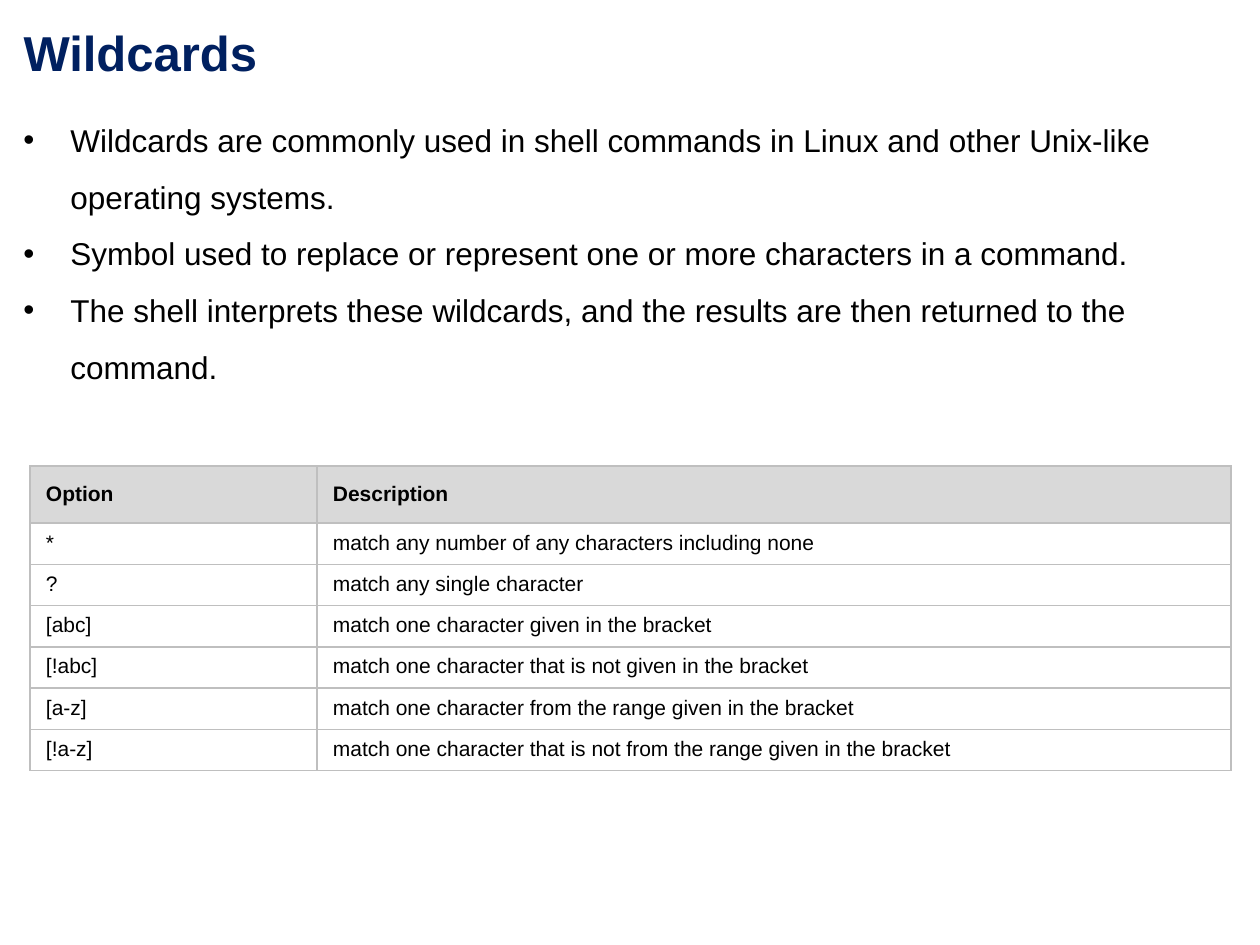
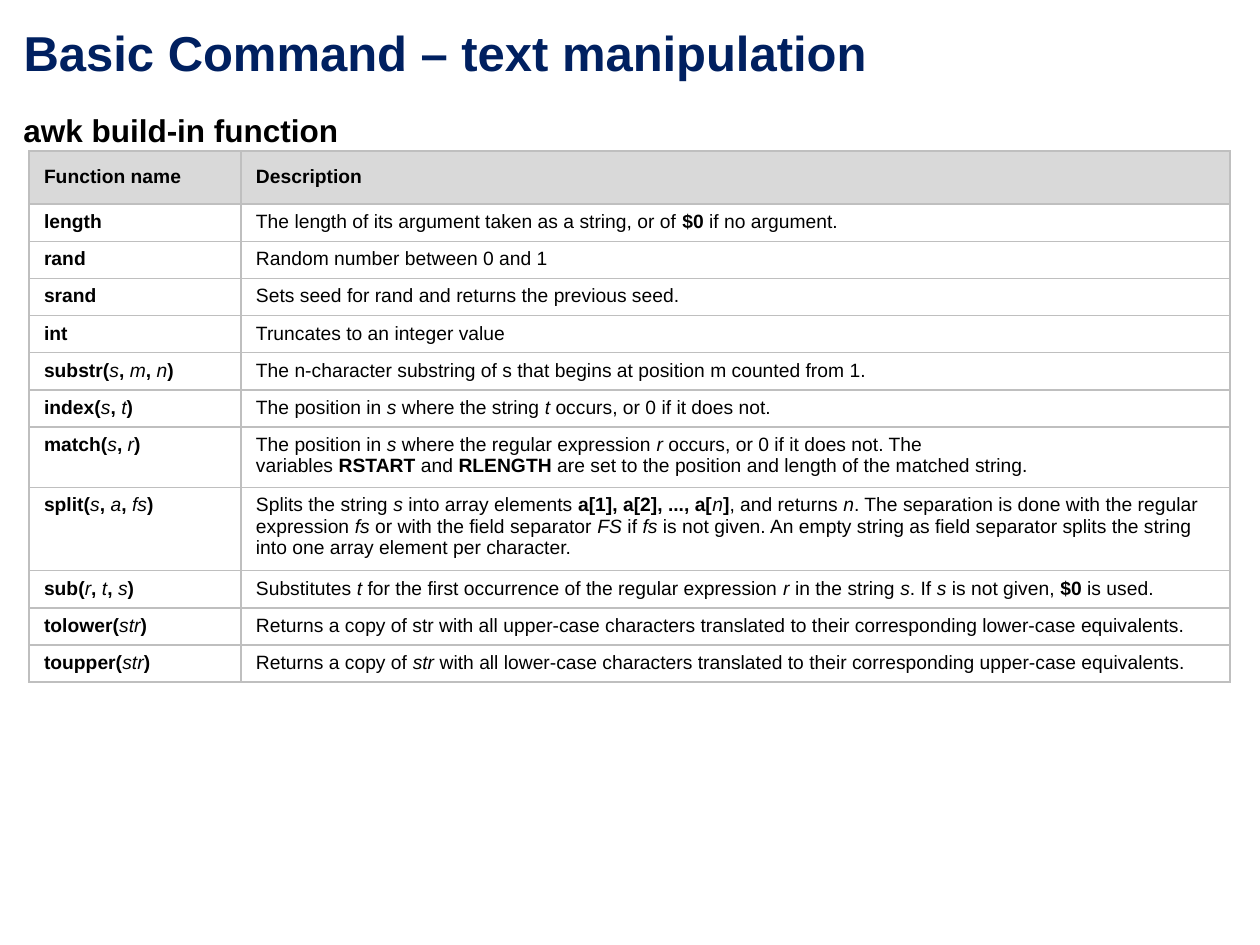
"""Build two slides about shell wildcards and awk functions."""
import lxml.etree
import pptx
import pptx.dml.color
import pptx.enum.text
import pptx.oxml.ns
import pptx.util

PX = 914400 / 126
FONT = "Arial"
NAVY = pptx.dml.color.RGBColor(0x00, 0x20, 0x60)
BLACK = pptx.dml.color.RGBColor(0x00, 0x00, 0x00)
HEADER_GREY = pptx.dml.color.RGBColor(0xD9, 0xD9, 0xD9)
BORDER_GREY = pptx.dml.color.RGBColor(0xBF, 0xBF, 0xBF)
TITLE_BOX = (11, 16, 998, 72)
NBSP = chr(160)
qn = pptx.oxml.ns.qn


def px(length):
    return pptx.util.Emu(round(length * PX))


def write(paragraph, marked, size, color=BLACK, bold=False):
    """Add runs: ^bold^, _italic_ and ~ for a no-break space."""
    for b, bold_part in enumerate(marked.replace("~", NBSP).split("^")):
        for i, words in enumerate(bold_part.split("_")):
            if words:
                run = paragraph.add_run()
                run.text = words
                run.font.name = FONT
                run.font.size = pptx.util.Pt(size)
                run.font.color.rgb = color
                run.font.bold = bold or b % 2 == 1
                run.font.italic = i % 2 == 1


wildcard_points = [
    "Wildcards are commonly used in shell commands in Linux and other Unix-like operating systems.",
    "Symbol used to replace or represent one or more characters in a command.",
    "The shell interprets these wildcards, and the results are then returned to the command.",
]
wildcard_rows = [
    ("Option", "Description"),
    ("*", "match any number of any characters including none"),
    ("?", "match any single character"),
    ("[abc]", "match one character given in the bracket"),
    ("[!abc]", "match one character that is not given in the bracket"),
    ("[a-z]", "match one character from the range given in the bracket"),
    ("[!a-z]", "match one character that is not from the range given in the bracket"),
]
awk_rows = [
    ("Function name", "Description"),
    ("^length^", "The length of its argument taken as a string, or of~^$0^~if no argument."),
    ("^rand^", "Random number between 0 and 1"),
    ("^srand^", "Sets~seed~for~rand~and returns the previous seed."),
    ("^int^", "Truncates~to an~integer~value"),
    ("^substr(^_s_^,~^_m_^,~^_n_^)^",
     "The~n-character~substring~of~s~that begins at position~m~counted from 1."),
    ("^index(^_s_^,~^_t_^)^",
     "The position in~_s_~where the string~_t_~occurs, or 0 if it does not."),
    ("^match(^_s_^,~^_r_^)^",
     "The position in~_s_~where the regular expression~_r_~occurs, or 0 if it does not. "
     "The variables~^RSTART^~and~^RLENGTH^~are set to the position and length of the "
     "matched string."),
    ("^split(^_s_^,~^_a_^,~^_fs_^)^",
     "Splits the string~_s_~into array elements~^a[1], a[2], ..., a[^_n_^]^, and returns~_n_. "
     "The separation is done with the regular expression~_fs_~or with the field "
     "separator~_FS_~if~_fs_~is not given. An empty string as field separator splits the "
     "string into one array element per character."),
    ("^sub(^_r_^,~^_t_^,~^_s_^)^",
     "Substitutes~_t_~for the first occurrence of the regular expression~_r_~in the "
     "string~_s_. If~_s_~is not given,~^$0^~is used."),
    ("^tolower(^_str_^)^",
     "Returns a copy of~str~with all~upper-case~characters translated to their "
     "corresponding~lower-case~equivalents."),
    ("^toupper(^_str_^)^",
     "Returns a copy of~_str_~with all lower-case characters translated to their "
     "corresponding upper-case equivalents."),
]

pages = [
    dict(title="Wildcards", intro=wildcard_points, intro_box=(11, 96, 1229, 292),
         bulleted=True, spacing=1.5, rows=wildcard_rows, corner=(30, 466),
         columns=(287, 914), heights=[56] + [40] * 6, size=12, inset=16, tight=8),
    dict(title="Basic Command – text manipulation", intro=["awk build-in function"],
         intro_box=(11, 97, 1229, 54), bulleted=False, spacing=1.2, rows=awk_rows,
         corner=(29, 151), columns=(212, 989),
         heights=[52] + [36] * 6 + [58, 80] + [36] * 3, size=11, inset=15, tight=7),
]

deck = pptx.Presentation()
deck.slide_width, deck.slide_height = px(1260), px(945)

for page in pages:
    slide = deck.slides.add_slide(deck.slide_layouts[5])
    title = slide.shapes.title
    title.left, title.top, title.width, title.height = map(px, TITLE_BOX)
    heading = title.text_frame
    heading.auto_size = pptx.enum.text.MSO_AUTO_SIZE.SHAPE_TO_FIT_TEXT
    heading.vertical_anchor = pptx.enum.text.MSO_ANCHOR.TOP
    heading.paragraphs[0].alignment = pptx.enum.text.PP_ALIGN.LEFT
    write(heading.paragraphs[0], page["title"], 28, NAVY, bold=True)

    intro = slide.shapes.add_textbox(*map(px, page["intro_box"])).text_frame
    intro.word_wrap = True
    intro.auto_size = pptx.enum.text.MSO_AUTO_SIZE.SHAPE_TO_FIT_TEXT
    for number, sentence in enumerate(page["intro"]):
        paragraph = intro.add_paragraph() if number else intro.paragraphs[0]
        paragraph.line_spacing = page["spacing"]
        if page["bulleted"]:
            properties = paragraph._p.get_or_add_pPr()
            properties.set("marL", str(px(47)))
            properties.set("indent", str(-px(47)))
            lxml.etree.SubElement(properties, qn("a:buFont"), typeface=FONT)
            lxml.etree.SubElement(properties, qn("a:buChar"), char="•")
        write(paragraph, sentence, 18, bold=not page["bulleted"])

    rows, columns, heights = page["rows"], page["columns"], page["heights"]
    table = slide.shapes.add_table(
        len(rows), len(columns), *map(px, page["corner"]),
        px(sum(columns)), px(sum(heights))).table
    table.first_row = table.horz_banding = False
    for column, width in zip(table.columns, columns):
        column.width = px(width)
    for r, entries in enumerate(rows):
        table.rows[r].height = px(heights[r])
        for c, entry in enumerate(entries):
            cell = table.cell(r, c)
            cell.margin_left = cell.margin_right = px(page["inset"])
            cell.margin_top = cell.margin_bottom = px(page["tight"] if r else page["inset"])
            properties = cell._tc.get_or_add_tcPr()
            for side in ("a:lnL", "a:lnR", "a:lnT", "a:lnB"):
                border = lxml.etree.SubElement(properties, qn(side), w=str(pptx.util.Pt(1)))
                paint = lxml.etree.SubElement(border, qn("a:solidFill"))
                lxml.etree.SubElement(paint, qn("a:srgbClr"), val=str(BORDER_GREY))
            if r:
                cell.fill.background()
            else:
                cell.fill.solid()
                cell.fill.fore_color.rgb = HEADER_GREY
            write(cell.text_frame.paragraphs[0], entry, page["size"], bold=r == 0)

deck.save("out.pptx")
